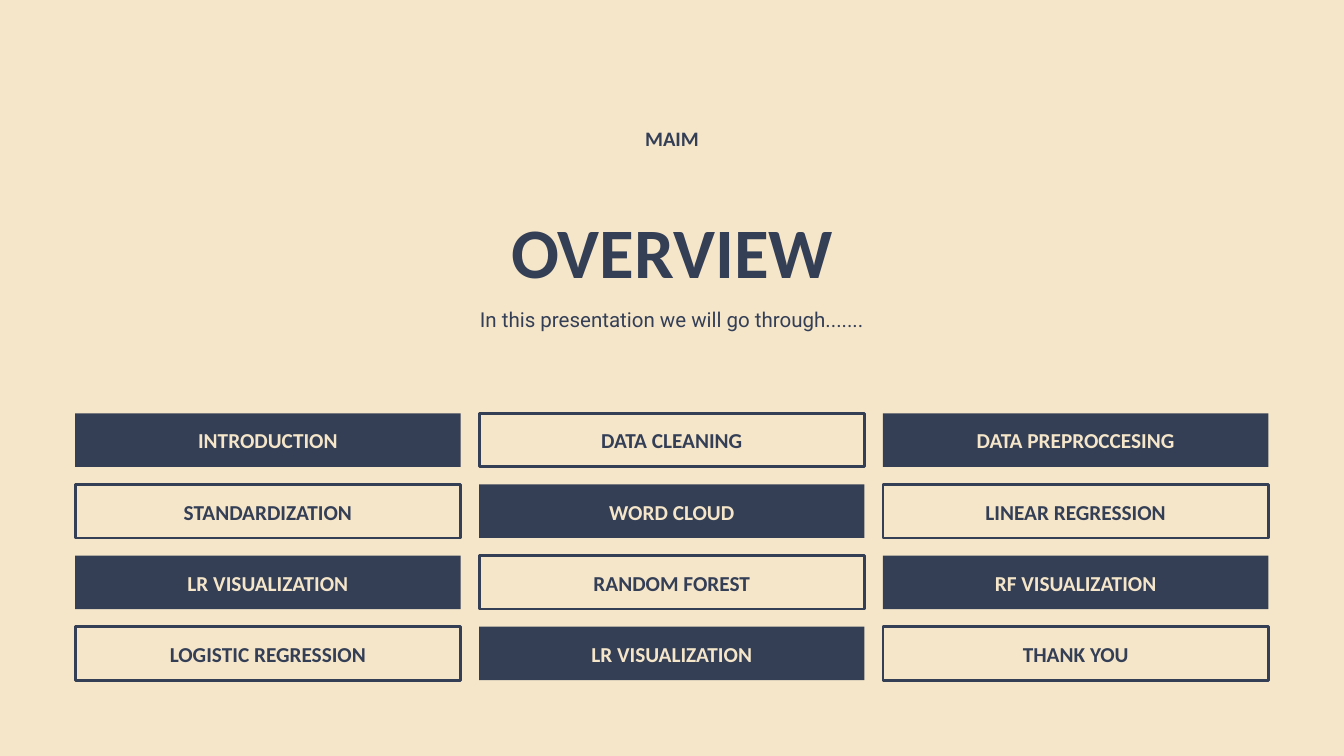
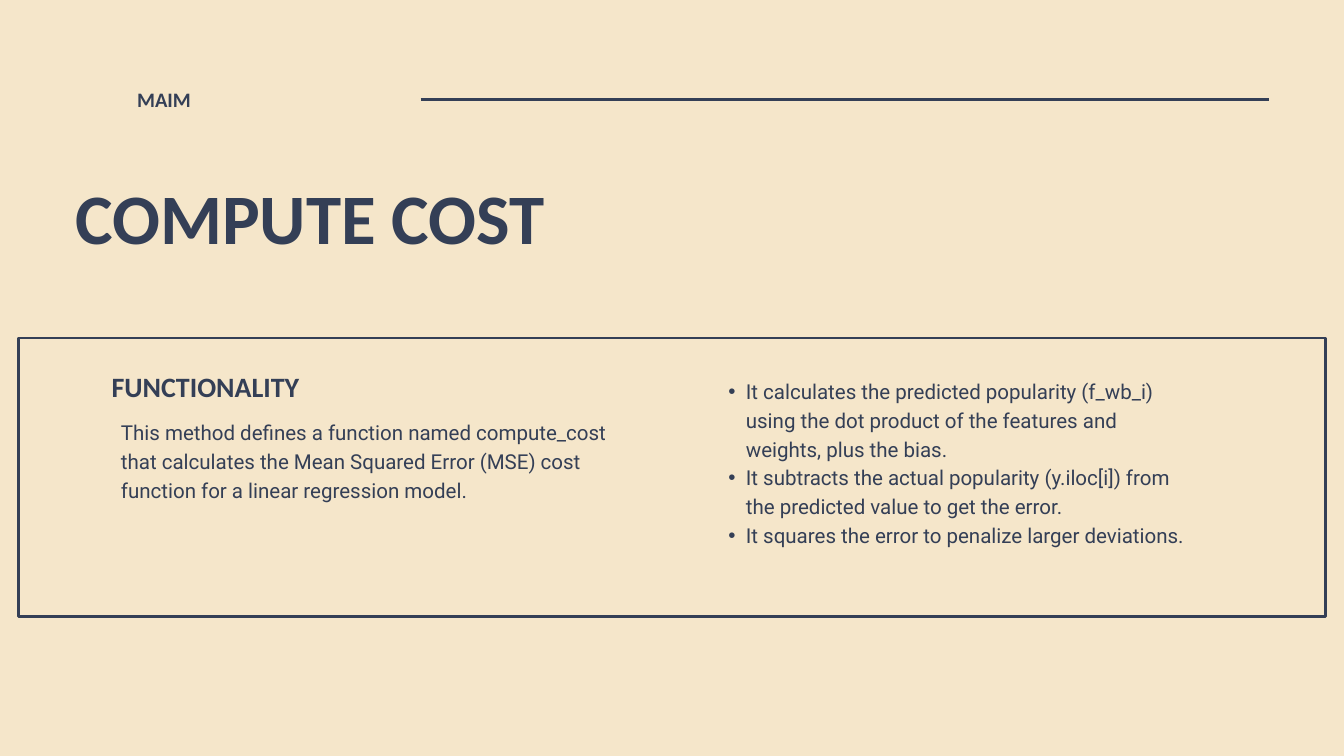
import pptx
import pptx.util
import pptx.dml.color
import pptx.enum.shapes
import pptx.enum.text
import pptx.oxml.ns
import lxml.etree

Pt = pptx.util.Pt
ALIGN = pptx.enum.text.PP_ALIGN
ANCHOR = pptx.enum.text.MSO_ANCHOR
RECTANGLE = pptx.enum.shapes.MSO_SHAPE.RECTANGLE

HEX = {"navy": "343F56", "cream": "F5E6CA"}
COLORS = {name: pptx.dml.color.RGBColor.from_string(value) for name, value in HEX.items()}
HEADING = "Calibri"
BODY = "Roboto"
MARGIN = 80.64
LINE_WIDTH = 3


def write(shape, texts, size, spacing, font=HEADING, color="navy",
          align=ALIGN.LEFT, anchor=ANCHOR.TOP, bottom=0):
    frame = shape.text_frame
    frame.word_wrap = True
    frame.auto_size = pptx.enum.text.MSO_AUTO_SIZE.NONE
    frame.vertical_anchor = anchor
    frame.margin_left = frame.margin_right = frame.margin_top = 0
    frame.margin_bottom = Pt(bottom)
    for index, text in enumerate(texts):
        paragraph = frame.paragraphs[0] if index == 0 else frame.add_paragraph()
        paragraph.alignment = align
        paragraph.line_spacing = Pt(spacing)
        paragraph.space_before = Pt(0)
        run = paragraph.add_run()
        run.text = text
        run.font.name = font
        run.font.size = Pt(size)
        run.font.bold = font == HEADING
        run.font.color.rgb = COLORS[color]
    return frame


def add_panel(slide, left, top, width, height, filled=False):
    panel = slide.shapes.add_shape(RECTANGLE, Pt(left), Pt(top), Pt(width), Pt(height))
    panel.shadow.inherit = False
    if filled:
        panel.fill.solid()
        panel.fill.fore_color.rgb = COLORS["navy"]
        panel.line.fill.background()
    else:
        panel.fill.background()
        panel.line.color.rgb = COLORS["navy"]
        panel.line.width = Pt(LINE_WIDTH)
    return panel


prs = pptx.Presentation()
prs.slide_width = Pt(1440)
prs.slide_height = Pt(810)
background = prs.slide_master.background.fill
background.solid()
background.fore_color.rgb = COLORS["cream"]

pages = [
    ("OVERVIEW", (352.8, 207.36, 734.4, 102.24), 106.4, (550.8, 130.32, 338.4, 30.24), ALIGN.CENTER),
    ("COMPUTE COST", (MARGIN, 201.6, 1278, 82.8), 76, (146.88, 89.28, 282.24, 30.24), ALIGN.LEFT),
]
slides = []
for heading, heading_box, heading_spacing, tag_box, align in pages:
    slide = prs.slides.add_slide(prs.slide_layouts[5])
    title = slide.shapes.title
    title.left, title.top, title.width, title.height = map(Pt, heading_box)
    write(title, [heading], 76, heading_spacing, align=align)
    tag = slide.shapes.add_textbox(*map(Pt, tag_box))
    write(tag, ["MAIM"], 22, 30.8, align=align)
    slides.append(slide)
overview, cost = slides

intro = overview.shapes.add_textbox(Pt(217.44), Pt(324), Pt(1004.4), Pt(30.24))
write(intro, ["In this presentation we will go through......."], 22, 30.8, BODY, align=ALIGN.CENTER)

topics = [
    ["INTRODUCTION", "DATA CLEANING", "DATA PREPROCCESING"],
    ["STANDARDIZATION", "WORD CLOUD", "LINEAR REGRESSION"],
    ["LR VISUALIZATION", "RANDOM FOREST", "RF VISUALIZATION"],
    ["LOGISTIC REGRESSION", "LR VISUALIZATION", "THANK YOU"],
]
for row, names in enumerate(topics):
    for column, name in enumerate(names):
        filled = (row + column) % 2 == 0
        tile = add_panel(overview, MARGIN + column * 432.72, 442.8 + row * 76.2, 412.9, 57.4, filled)
        write(tile, [name], 22.8, 32, color="cream" if filled else "navy",
              align=ALIGN.CENTER, anchor=ANCHOR.MIDDLE, bottom=4)

rule = cost.shapes.add_connector(
    pptx.enum.shapes.MSO_CONNECTOR.STRAIGHT, Pt(450.72), Pt(106.56), Pt(1359.36), Pt(106.56))
rule.line.color.rgb = COLORS["navy"]
rule.line.width = Pt(LINE_WIDTH)
lxml.etree.SubElement(rule._element.spPr, pptx.oxml.ns.qn("a:effectLst"))

add_panel(cost, 19.44, 362.16, 1401.12, 298.08)

subheading = cost.shapes.add_textbox(Pt(119.52), Pt(389.52), Pt(390.24), Pt(42.48))
write(subheading, ["FUNCTIONALITY"], 30, 42)

summary = cost.shapes.add_textbox(Pt(129.6), Pt(445.68), Pt(520.56), Pt(122.4))
write(summary, [
    "This method defines a function named compute_cost that calculates "
    "the Mean Squared Error (MSE) cost function for a linear regression model.",
], 22, 30.8, BODY)

steps = cost.shapes.add_textbox(Pt(761.76), Pt(401.76), Pt(520.56), Pt(214.56))
steps_frame = write(steps, [
    "It calculates the predicted popularity (f_wb_i) using the dot product "
    "of the features and weights, plus the bias.",
    "It subtracts the actual popularity (y.iloc[i]) from the predicted value to get the error.",
    "It squares the error to penalize larger deviations.",
], 22, 30.8, BODY)
for step in steps_frame.paragraphs:
    step.level = 1
    properties = step._p.get_or_add_pPr()
    properties.set("marL", str(Pt(37.44)))
    properties.set("indent", str(Pt(-18.72)))
    font = lxml.etree.SubElement(properties, pptx.oxml.ns.qn("a:buFont"))
    font.set("typeface", "Arial")
    bullet = lxml.etree.SubElement(properties, pptx.oxml.ns.qn("a:buChar"))
    bullet.set("char", "•")

prs.save("out.pptx")
